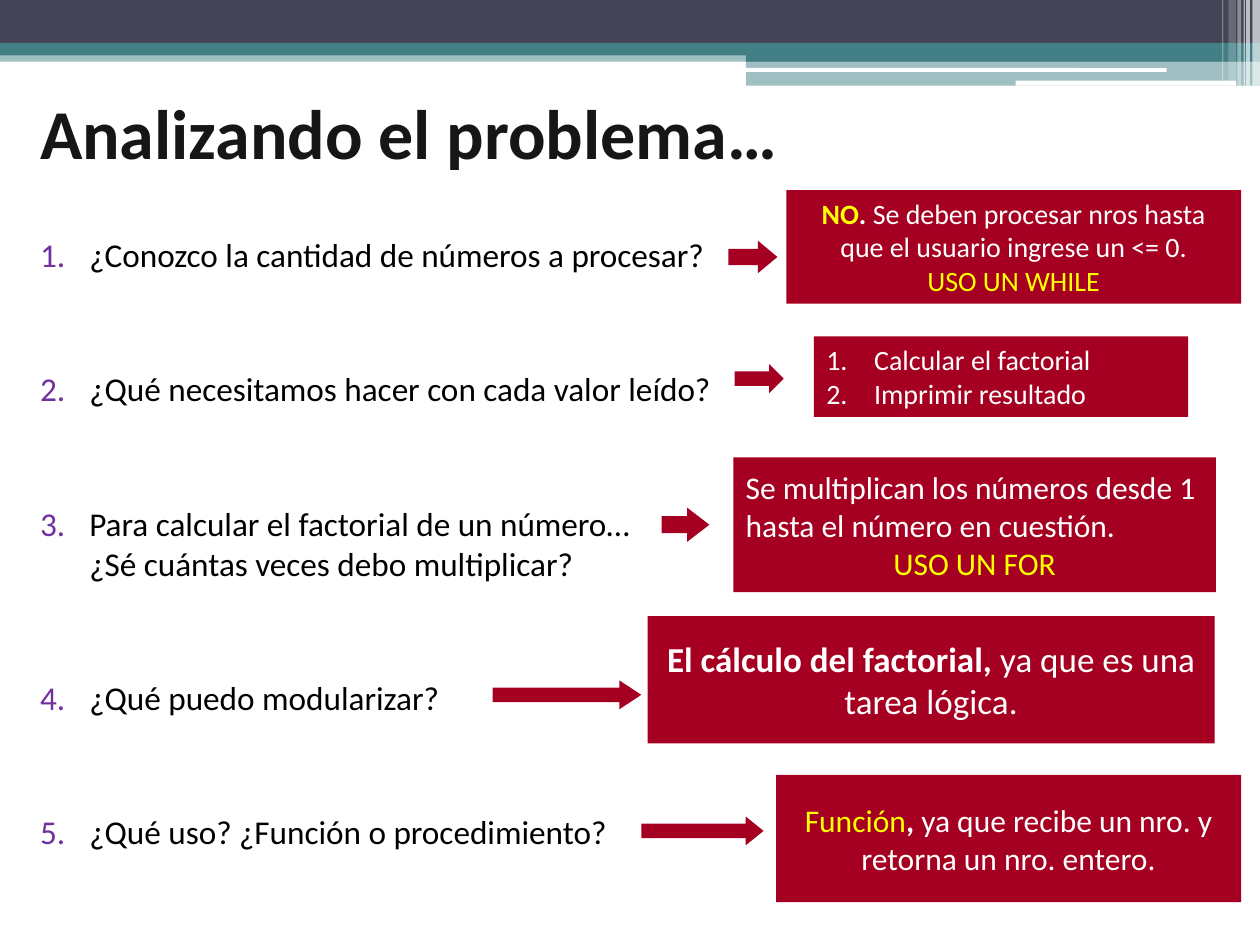
from lxml import etree
from pptx import Presentation
from pptx import util as u
from pptx.dml import color
from pptx.enum import shapes, text
from pptx.oxml import ns

HUES = {"navy": "424456", "teal": "438086", "white": "FFFFFF", "ink": "161616",
        "black": "000000", "violet": "7030A0", "red": "A50021", "yellow": "FFFF00"}
FONT = "Calibri"
LEFT, MID = text.PP_ALIGN.LEFT, text.PP_ALIGN.CENTER
TOP, CORE = text.MSO_ANCHOR.TOP, text.MSO_ANCHOR.MIDDLE
RECT = shapes.MSO_SHAPE.RECTANGLE
ROUND = shapes.MSO_SHAPE.ROUNDED_RECTANGLE
ARROW = shapes.MSO_SHAPE.RIGHT_ARROW


def hue(name):
    return color.RGBColor.from_string(HUES[name])


def inch(box):
    return [u.Inches(n) for n in box]


def block(parts, box, fill, alpha=100, kind=RECT):
    shape = parts.add_shape(kind, *inch(box))
    shape.shadow.inherit = False
    shape.fill.solid()
    shape.fill.fore_color.rgb = hue(fill)
    shape.line.fill.background()
    if alpha < 100:
        tint = shape.fill._xPr.find(".//" + ns.qn("a:srgbClr"))
        etree.SubElement(tint, ns.qn("a:alpha"), val=str(alpha * 1000))
    return shape


def number(para, tone, indent):
    props = para._p.get_or_add_pPr()
    props.set("marL", str(u.Inches(indent)))
    props.set("indent", str(-u.Inches(indent)))
    mark = etree.SubElement(props, ns.qn("a:buClr"))
    etree.SubElement(mark, ns.qn("a:srgbClr"), val=HUES[tone])
    etree.SubElement(props, ns.qn("a:buAutoNum"), type="arabicPeriod")


def write(shape, lines, size, anchor=TOP, gap=0, mark=None, indent=0):
    frame = shape.text_frame
    frame.word_wrap = True
    frame.vertical_anchor = anchor
    for i, (align, pieces) in enumerate(lines):
        para = frame.add_paragraph() if i else frame.paragraphs[0]
        para.alignment = align
        para.font.size = u.Pt(size)
        if i and gap:
            para.space_before = u.Pt(gap)
        if mark:
            number(para, mark, indent)
        for words, tone, bold in pieces:
            start = len(para.runs)
            if start:
                para.add_run().text = words
            else:
                para.text = words
            for run in para.runs[start:]:
                run.font.name = FONT
                run.font.size = u.Pt(size)
                run.font.bold = bold
                run.font.color.rgb = hue(tone)


def header(parts, box):
    x, y, w, h = box
    half = x + 5.92
    right = x + w - half
    bands = [(x, 0.4, w, 0.09, "teal", 50), (x, 0, w, 0.34, "navy", 100),
             (x, 0.34, w, 0.1, "teal", 100), (half, 0.39, right, 0.1, "teal", 100),
             (half, 0.48, right, 0.2, "teal", 50)]
    for left, top, wide, high, fill, alpha in bands:
        block(parts, (left, y + top, wide, high), fill, alpha)
    for left, top, wide, high in [(5.91, 0.54, 3.35, 0.03), (8.06, 0.64, 1.75, 0.04)]:
        block(parts, (x + left, y + top, wide, high), "white", kind=ROUND)
    stripes = [(9.94, 0.06, h, 65), (9.89, 0.03, h, 65), (9.87, 0.01, h, 60),
               (9.82, 0.03, h, 40), (9.75, 0.06, h - 0.04, 20), (9.7, 0.01, h - 0.04, 30)]
    for left, wide, high, alpha in stripes:
        block(parts, (x + left, y, wide, high), "white", alpha)


def title(parts, box):
    shape = parts.add_textbox(*inch(box))
    write(shape, [(LEFT, [("Analizando el problema…", "ink", True)])], 40, CORE)


def asks(parts, box):
    items = ["¿Conozco la cantidad de números a procesar?",
             "¿Qué necesitamos hacer con cada valor leído?",
             "Para calcular el factorial de un número…\n¿Sé cuántas veces debo multiplicar?",
             "¿Qué puedo modularizar?",
             "¿Qué uso? ¿Función o procedimiento?"]
    lines = [(LEFT, [(item, "black", False)]) for item in items]
    write(parts.add_textbox(*inch(box)), lines, 19, gap=54, mark="violet", indent=0.39)


def answer(parts, box, arrow, point, lines, size, **style):
    group = parts.add_group_shape().shapes
    head = block(group, arrow, "red", kind=ARROW)
    head.adjustments[1] = point
    write(block(group, box, "red"), lines, size, **style)


def answers(parts):
    answer(parts, (6.24, 1.51, 3.61, 0.9), (5.78, 1.91, 0.39, 0.26), 0.6,
           [(MID, [("NO", "yellow", True), (". ", "white", True),
                   ("Se deben procesar nros hasta que el usuario ingrese un <= 0.",
                    "white", False)]),
            (MID, [("USO UN WHILE", "yellow", False)])], 16)
    answer(parts, (6.46, 2.67, 2.97, 0.64), (5.83, 2.89, 0.39, 0.23), 0.5,
           [(LEFT, [("Calcular el factorial", "white", False)]),
            (LEFT, [("Imprimir resultado", "white", False)])],
           16, mark="white", indent=0.38)
    answer(parts, (5.82, 3.63, 3.83, 1.07), (5.25, 4.03, 0.38, 0.27), 0.65,
           [(LEFT, [("Se multiplican los números desde 1 hasta el número en cuestión.",
                     "white", False)]),
            (MID, [("USO UN FOR", "yellow", False)])], 18, anchor=CORE)
    answer(parts, (5.14, 4.89, 4.5, 1.01), (3.91, 5.4, 1.18, 0.23), 0.76,
           [(MID, [("El cálculo del factorial, ", "white", True),
                   ("ya que es una tarea lógica.", "white", False)])], 20, anchor=CORE)
    answer(parts, (6.16, 6.15, 3.69, 1.01), (5.09, 6.48, 0.97, 0.23), 0.62,
           [(MID, [("Función", "yellow", False), (", ", "white", True),
                   ("ya que recibe un nro. y retorna un nro. entero.",
                    "white", False)])], 18, anchor=CORE)


def main():
    deck = Presentation()
    deck.slide_width, deck.slide_height = inch((10, 7.5))
    parts = deck.slides.add_slide(deck.slide_layouts[6]).shapes
    header(parts, (0, 0, 10, 0.68))
    title(parts, (0.22, 0.48, 9, 1.12))
    asks(parts, (0.22, 1.81, 5.59, 5.12))
    answers(parts)
    deck.save("out.pptx")


if __name__ == "__main__":
    main()
